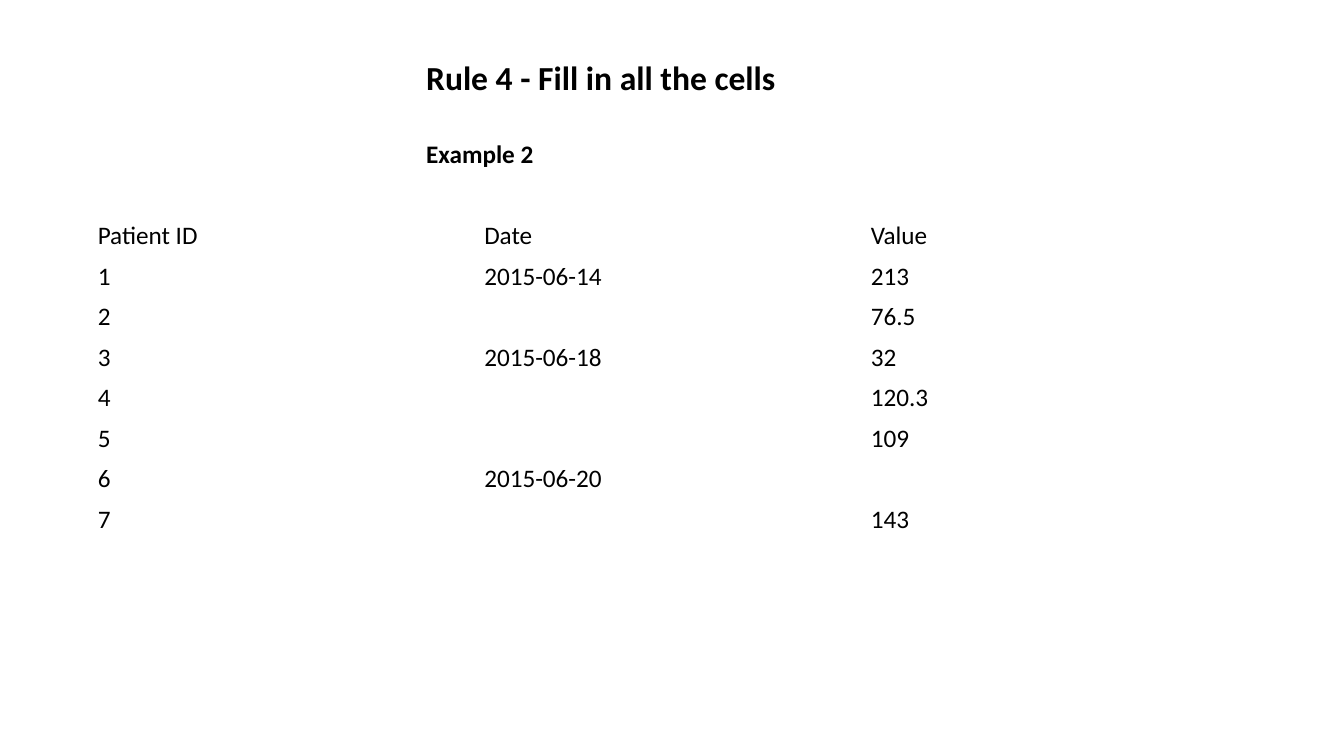
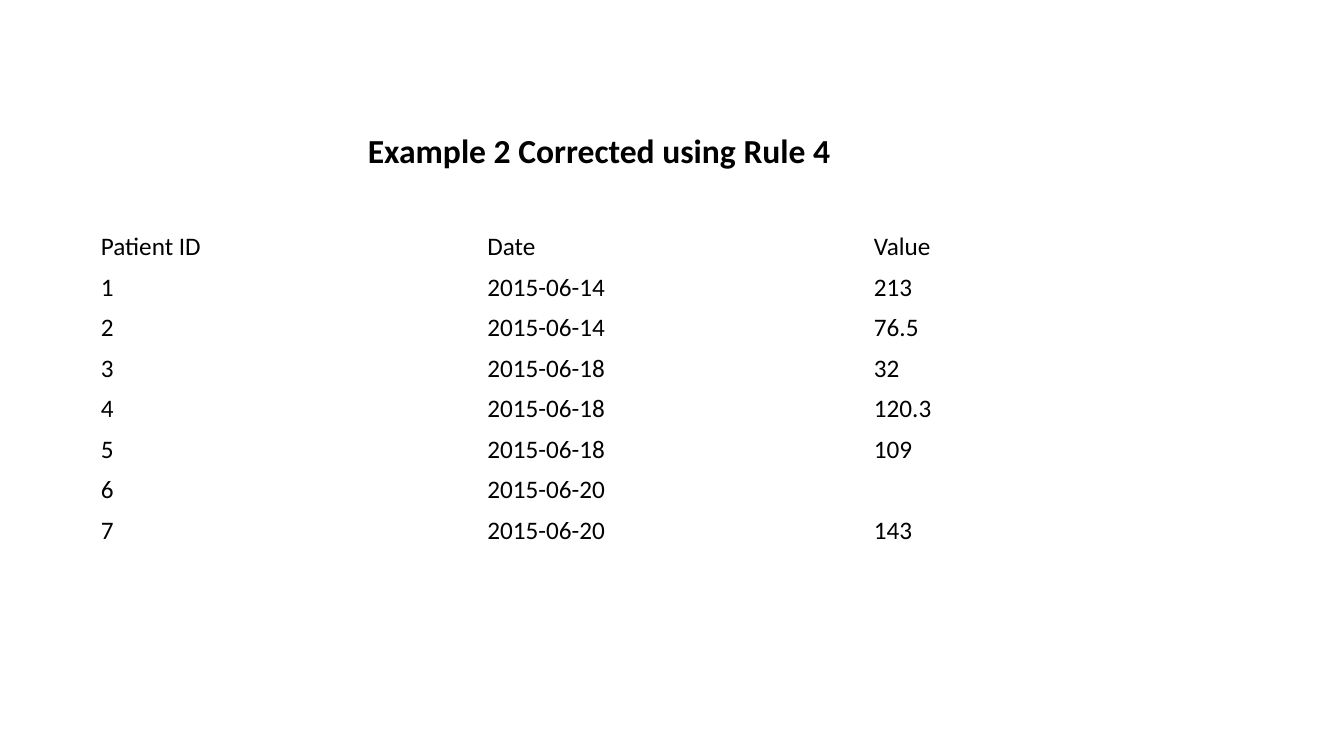
from pptx import Presentation as Deck
from pptx.dml.color import RGBColor as Rgb
from pptx.enum.text import MSO_ANCHOR as Anchor, MSO_AUTO_SIZE as Fit
from pptx.util import Cm, Pt

BLACK = Rgb(0, 0, 0)
WHITE = Rgb(255, 255, 255)
FONT = "Calibri"
BIG, BODY = 24, 18
COL, ROW, PAD = 9.74, 1.02, 0.1

HEAD = ("Patient ID", "Date", "Value")
VALUES = ("213", "76.5", "32", "120.3", "109", "", "143")
GAPS = ("2015-06-14", "", "2015-06-18", "", "", "2015-06-20", "")


def fill_down(dates):
    full = []
    for date in dates:
        full.append(date or full[-1])
    return full


def make_rows(dates):
    ids = [str(n) for n in range(1, len(VALUES) + 1)]
    return [HEAD, *zip(ids, dates, VALUES)]


class Board:
    def __init__(self):
        self.deck = Deck()
        self.deck.slide_width = Cm(33.87)
        self.deck.slide_height = Cm(19.05)
        self.slide = None

    def start(self):
        self.slide = self.deck.slides.add_slide(self.deck.slide_layouts[6])
        back = self.slide.background.fill
        back.solid()
        back.fore_color.rgb = WHITE

    def add_text(self, para, text, size=BODY, bold=False):
        run = para.add_run()
        run.text = text
        font = run.font
        font.name, font.size, font.bold = FONT, Pt(size), bold
        font.color.rgb = BLACK

    def title(self, left, top, width, height, text, sub=None):
        box = self.slide.shapes.add_textbox(Cm(left), Cm(top), Cm(width), Cm(height))
        frame = box.text_frame
        frame.word_wrap = False
        frame.auto_size = Fit.SHAPE_TO_FIT_TEXT
        self.add_text(frame.paragraphs[0], text, BIG, True)
        if sub:
            para = frame.add_paragraph()
            para.space_before = Pt(29)
            self.add_text(para, sub, BODY, True)

    def table(self, left, top, rows):
        cols = len(rows[0])
        frame = self.slide.shapes.add_table(
            len(rows), cols, Cm(left), Cm(top), Cm(COL * cols), Cm(ROW * len(rows)))
        grid = frame.table
        grid.first_row = grid.horz_banding = False
        for col in grid.columns:
            col.width = Cm(COL)
        for line, row in zip(grid.rows, rows):
            line.height = Cm(ROW)
            for cell, text in zip(line.cells, row):
                cell.fill.background()
                cell.vertical_anchor = Anchor.MIDDLE
                cell.margin_top = cell.margin_bottom = Cm(PAD)
                if text:
                    self.add_text(cell.text_frame.paragraphs[0], text)

    def save(self):
        self.deck.save("out.pptx")


def main():
    board = Board()

    board.start()
    board.table(2.21, 5.44, make_rows(GAPS))
    board.title(10.49, 1.32, 9.4, 3.07, "Rule 4 - Fill in all the cells", "Example 2")

    board.start()
    board.table(2.29, 5.72, make_rows(fill_down(GAPS)))
    board.title(9.02, 3.15, 12.27, 1.27, "Example 2 Corrected using Rule 4")

    board.save()


if __name__ == "__main__":
    main()
